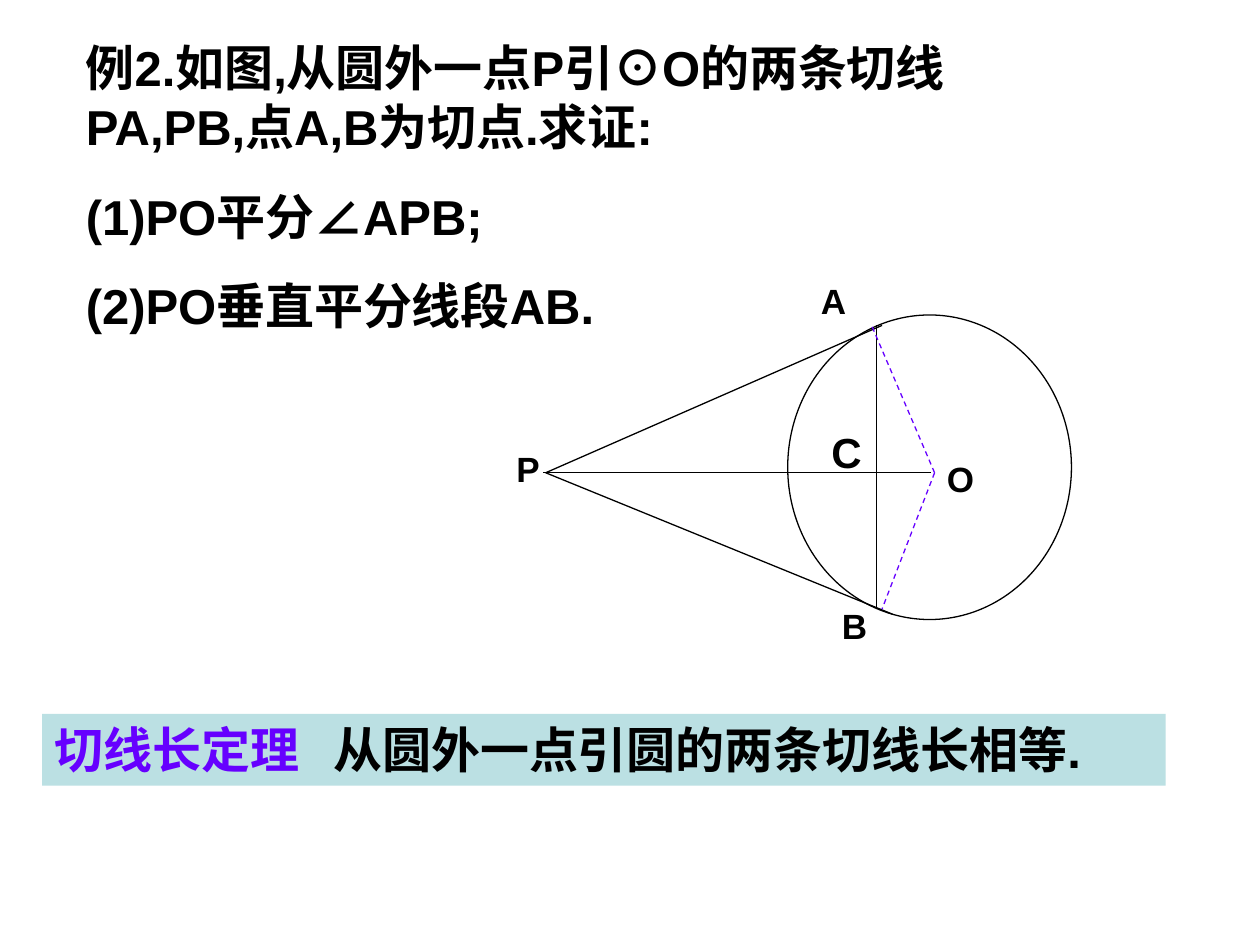
"""Build a geometry slide on the two tangents from a point to a circle."""
from pptx import Presentation
from pptx.dml.color import RGBColor
from pptx.enum.dml import MSO_LINE_DASH_STYLE as Dash
from pptx.enum.shapes import MSO_CONNECTOR_TYPE as Connector, MSO_SHAPE as Shape
from pptx.enum.text import MSO_ANCHOR as Anchor, MSO_AUTO_SIZE as AutoSize, PP_ALIGN as Align
from pptx.oxml.ns import qn
from pptx.util import Cm, Pt

BLACK, VIOLET, PALE_BLUE = "000000", "6600FF", "BBE0E3"
FONT = "Arial"
PROBLEM = [
    "例2.如图,从圆外一点P引⊙O的两条切线PA,PB,点A,B为切点.求证:",
    "(1)PO平分∠APB;",
    "(2)PO垂直平分线段AB.",
]
PROBLEM_AREA = (1.48, 0.64, 20.96, 6.25)
THEOREM = [("切线长定理", VIOLET), ("\t从圆外一点引圆的两条切线长相等.", BLACK)]
THEOREM_AREA = (0.85, 14.39, 22.65, 1.45)
THEOREM_TAB = 5.62
CIRCLE = (15.88, 6.35, 5.72, 6.14)
AXIS, TOP, BOTTOM = 9.53, 6.56, 12.28
POINT_P, CENTRE = (11, AXIS), (18.84, AXIS)
SOLID_LINES = [
    ((18.77, AXIS), (10.95, AXIS)),
    (POINT_P, (17.78, TOP)),
    (POINT_P, (17.99, 12.38)),
    ((17.67, TOP), (17.67, BOTTOM)),
]
RADII = [(CENTRE, (17.57, TOP)), (CENTRE, (17.78, BOTTOM))]
LABELS = [
    ("P", 20, (10.16, 8.89, 1.69, 1.11)),
    ("A", 20, (16.3, 5.5, 1.27, 1.11)),
    ("B", 20, (16.72, 12.07, 1.27, 1.11)),
    ("O", 20, (18.84, 9.1, 1.48, 1.11)),
    ("C", 24, (16.51, 8.47, 1.48, 1.27)),
]


def colour(value):
    return RGBColor.from_string(value)


def lengths(values):
    return [Cm(value) for value in values]


def style(paragraph, size):
    font = paragraph.font
    font.name, font.size, font.bold = FONT, Pt(size), True
    font.color.rgb = colour(BLACK)


def add_text(shapes, area, lines, size):
    box = shapes.add_textbox(*lengths(area))
    frame = box.text_frame
    frame.word_wrap = True
    frame.auto_size = AutoSize.SHAPE_TO_FIT_TEXT
    for index, line in enumerate(lines):
        para = frame.add_paragraph() if index else frame.paragraphs[0]
        para.text = line
        if index:
            para.space_before = Pt(17.5)
        style(para, size)


def add_line(shapes, start, end, line_colour, dash=None):
    segment = shapes.add_connector(Connector.STRAIGHT, *lengths(start + end))
    segment.line.color.rgb = colour(line_colour)
    segment.line.width = Pt(0.75)
    if dash:
        segment.line.dash_style = dash
    properties = segment._element.spPr
    properties.append(properties.makeelement(qn("a:effectLst"), {}))


def add_figure(page):
    shapes = page.shapes.add_group_shape().shapes
    circle = shapes.add_shape(Shape.OVAL, *lengths(CIRCLE))
    circle.shadow.inherit = False
    circle.fill.background()
    circle.line.color.rgb = colour(BLACK)
    circle.line.width = Pt(0.75)
    for start, end in SOLID_LINES:
        add_line(shapes, start, end, BLACK)
    for start, end in RADII:
        add_line(shapes, start, end, VIOLET, Dash.DASH)
    for name, size, area in LABELS:
        add_text(shapes, area, [name], size)


def add_theorem(page):
    banner = page.shapes.add_shape(Shape.RECTANGLE, *lengths(THEOREM_AREA))
    banner.shadow.inherit = False
    banner.fill.solid()
    banner.fill.fore_color.rgb = colour(PALE_BLUE)
    banner.line.fill.background()
    frame = banner.text_frame
    frame.word_wrap = True
    frame.vertical_anchor = Anchor.TOP
    para = frame.paragraphs[0]
    para.alignment = Align.LEFT
    properties = para._p.get_or_add_pPr()
    tabs = properties.makeelement(qn("a:tabLst"), {})
    tabs.append(tabs.makeelement(qn("a:tab"), {"pos": str(Cm(THEOREM_TAB)), "algn": "l"}))
    properties.append(tabs)
    style(para, 28)
    for text, text_colour in THEOREM:
        span = para.add_run()
        span.text = text
        span.font.color.rgb = colour(text_colour)


def main():
    deck = Presentation()
    deck.slide_width, deck.slide_height = Cm(25.4), Cm(19.05)
    page = deck.slides.add_slide(deck.slide_layouts[6])
    add_text(page.shapes, PROBLEM_AREA, PROBLEM, 28)
    add_figure(page)
    add_theorem(page)
    deck.save("out.pptx")


if __name__ == "__main__":
    main()
